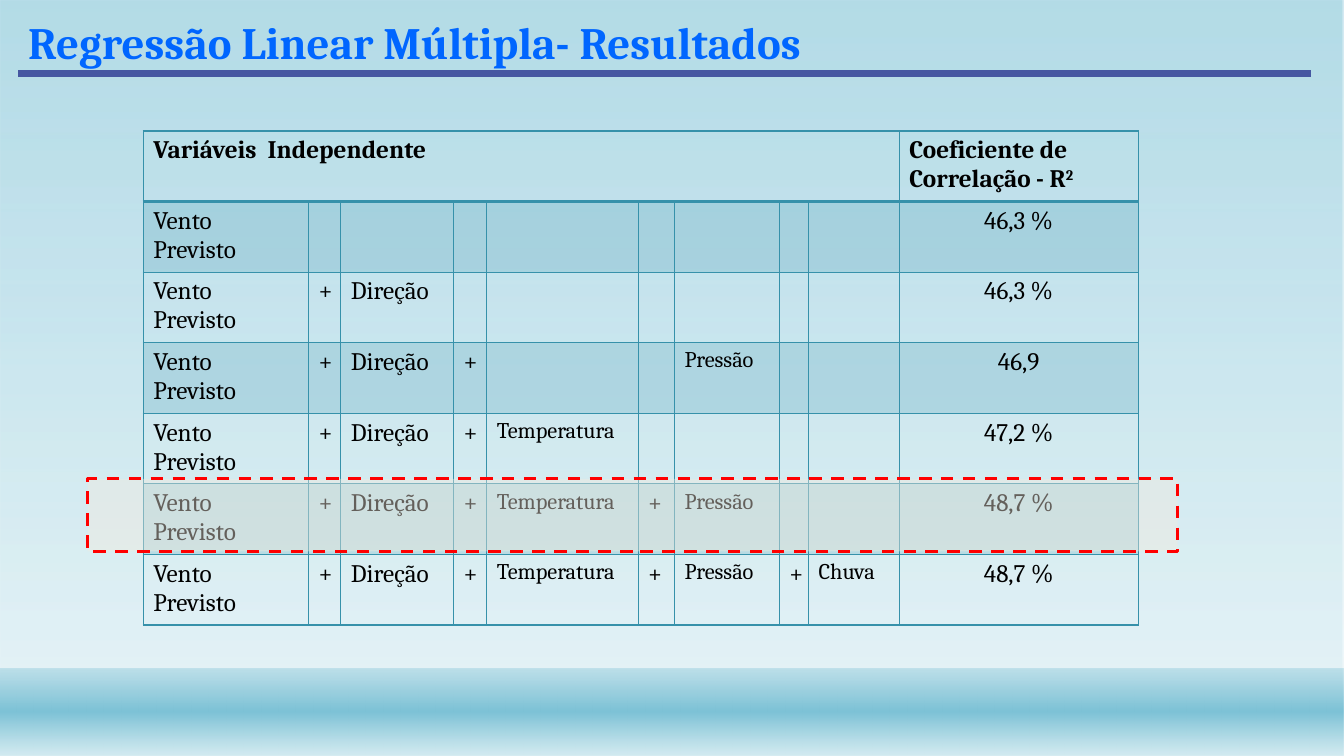
from dataclasses import dataclass
from lxml.etree import SubElement
from pptx import Presentation
from pptx.dml.color import RGBColor as RGB
from pptx.enum.dml import MSO_LINE as Dash
from pptx.enum.shapes import MSO_CONNECTOR as Link, MSO_SHAPE as Form
from pptx.enum.text import MSO_ANCHOR as Anchor, PP_ALIGN as Align
from pptx.oxml.ns import qn
from pptx.util import Inches, Pt


@dataclass(frozen=True)
class Theme:
    font: str = "Cambria"
    title: str = "0066FF"
    rule: str = "4557A1"
    grid: str = "3691AA"
    ink: str = "000000"
    deep: str = "7DC2D6"
    pale: str = "D4EBF1"
    mark: str = "F3EADE"
    alert: str = "FF0000"
    big: int = 32
    base: int = 18
    small: int = 16


T = Theme()

WIDTHS = [1.64, 0.32, 1.12, 0.33, 1.5, 0.36, 1.04, 0.29, 0.9, 2.37]
ROW = 0.7
SMALL = {"Temperatura", "Pressão", "Chuva"}
WIND = "Vento Previsto"
MODELS = [
    [WIND, "", "", "", "", "", "", "", "", "46,3 %"],
    [WIND, "+", "Direção", "", "", "", "", "", "", "46,3 %"],
    [WIND, "+", "Direção", "+", "", "", "Pressão", "", "", "46,9"],
    [WIND, "+", "Direção", "+", "Temperatura", "", "", "", "", "47,2 %"],
    [WIND, "+", "Direção", "+", "Temperatura", "+", "Pressão", "", "", "48,7 %"],
    [WIND, "+", "Direção", "+", "Temperatura", "+", "Pressão", "+", "Chuva", "48,7 %"],
]


def add_run(para, text, size=T.base, color=T.ink, bold=False):
    run = para.add_run()
    run.text = text
    font = run.font
    font.name, font.size, font.bold = T.font, Pt(size), bold
    font.color.rgb = RGB.from_string(color)
    return run


def add_tint(parent, color, alpha):
    tint = SubElement(parent, qn("a:srgbClr"), val=color)
    SubElement(tint, qn("a:alpha"), val=str(alpha * 1000))


def fade(fill, color, alpha):
    """Give a solid fill a colour and an opacity in percent."""
    fill.solid()
    fill.fore_color.rgb = RGB.from_string(color)
    tint = fill.fore_color._xFill.find(qn("a:srgbClr"))
    SubElement(tint, qn("a:alpha"), val=str(alpha * 1000))


def add_box(slide, left, top, width, height):
    box = slide.shapes.add_shape(
        Form.RECTANGLE, Inches(left), Inches(top), Inches(width), Inches(height))
    box.shadow.inherit = False
    return box


def add_band(slide, top, height, stops):
    """Full-width band with a vertical gradient of (place, colour, opacity)."""
    band = add_box(slide, 0, top, 13.33, height)
    band.line.fill.background()
    band.fill.gradient()
    band.fill.gradient_angle = 270
    items = band._element.spPr.find(qn("a:gradFill")).find(qn("a:gsLst"))
    for old in list(items):
        items.remove(old)
    for place, color, alpha in stops:
        stop = SubElement(items, qn("a:gs"), pos=str(place * 1000))
        add_tint(stop, color, alpha)


def add_title(slide):
    title = slide.shapes.title
    slide.shapes._spTree.append(title._element)  # bring above the bands
    title.left, title.top = Inches(0.18), Inches(0.09)
    title.width, title.height = Inches(12.19), Inches(0.64)
    frame = title.text_frame
    frame.word_wrap = True
    frame.vertical_anchor = Anchor.MIDDLE
    para = frame.paragraphs[0]
    para.alignment = Align.LEFT
    add_run(para, "Regressão Linear Múltipla- Resultados", T.big, T.title, True)


def add_rule(slide):
    rule = slide.shapes.add_connector(
        Link.STRAIGHT, Inches(0.18), Inches(0.73), Inches(13), Inches(0.73))
    rule.line.color.rgb = RGB.from_string(T.rule)
    rule.line.width = Pt(4.5)
    SubElement(rule._element.spPr, qn("a:effectLst"))


def set_edges(cell, top=1, bottom=1):
    props = cell._tc.get_or_add_tcPr()
    edges = [("a:lnL", 1), ("a:lnR", 1), ("a:lnT", top), ("a:lnB", bottom)]
    for spot, (name, width) in enumerate(edges):
        edge = SubElement(props, qn(name), w=str(Pt(width)))
        fill = SubElement(edge, qn("a:solidFill"))
        SubElement(fill, qn("a:srgbClr"), val=T.grid)
        props.insert(spot, edge)  # edges come before the fill


def add_grid(slide):
    count = len(MODELS) + 1
    grid = slide.shapes.add_table(
        count, len(WIDTHS), Inches(1.42), Inches(1.3),
        Inches(sum(WIDTHS)), Inches(ROW * count)).table
    grid.first_row = grid.horz_banding = False
    for col, width in zip(grid.columns, WIDTHS):
        col.width = Inches(width)
    for row in grid.rows:
        row.height = Inches(ROW)

    # Header
    last = len(WIDTHS) - 1
    grid.cell(0, 0).merge(grid.cell(0, last - 1))
    for col in range(last + 1):
        cell = grid.cell(0, col)
        cell.fill.background()
        set_edges(cell, bottom=2)
    add_run(grid.cell(0, 0).text_frame.paragraphs[0],
            "Variáveis  Independente", bold=True)
    para = grid.cell(0, last).text_frame.paragraphs[0]
    add_run(para, "Coeficiente de Correlação - R", bold=True)
    power = add_run(para, "2", bold=True)
    power.font._element.set("baseline", "30000")

    # One row for each model, every other one tinted
    for row, model in enumerate(MODELS, 1):
        for col, text in enumerate(model):
            cell = grid.cell(row, col)
            if row % 2:
                fade(cell.fill, T.grid, 20)
            else:
                cell.fill.background()
            set_edges(cell, top=2 if row == 1 else 1)
            para = cell.text_frame.paragraphs[0]
            if col == last:
                para.alignment = Align.CENTER
            if text:
                add_run(para, text, T.small if text in SMALL else T.base)


def add_mark(slide):
    mark = add_box(slide, 0.87, 4.75, 10.81, 0.72)
    fade(mark.fill, T.mark, 41)
    mark.line.color.rgb = RGB.from_string(T.alert)
    mark.line.width = Pt(2.25)
    mark.line.dash_style = Dash.DASH


def main():
    deck = Presentation()
    deck.slide_width, deck.slide_height = Inches(13.33), Inches(7.5)
    slide = deck.slides.add_slide(deck.slide_layouts[5])
    # Backdrop
    add_band(slide, 0, 7.5, [(0, T.deep, 58), (88, T.pale, 65)])
    add_band(slide, 6.63, 0.87,
             [(1, T.deep, 38), (49, T.deep, 100), (100, T.pale, 89)])
    # Heading
    add_title(slide)
    add_rule(slide)
    # Results, with the best model marked
    add_grid(slide)
    add_mark(slide)
    deck.save("out.pptx")


if __name__ == "__main__":
    main()
